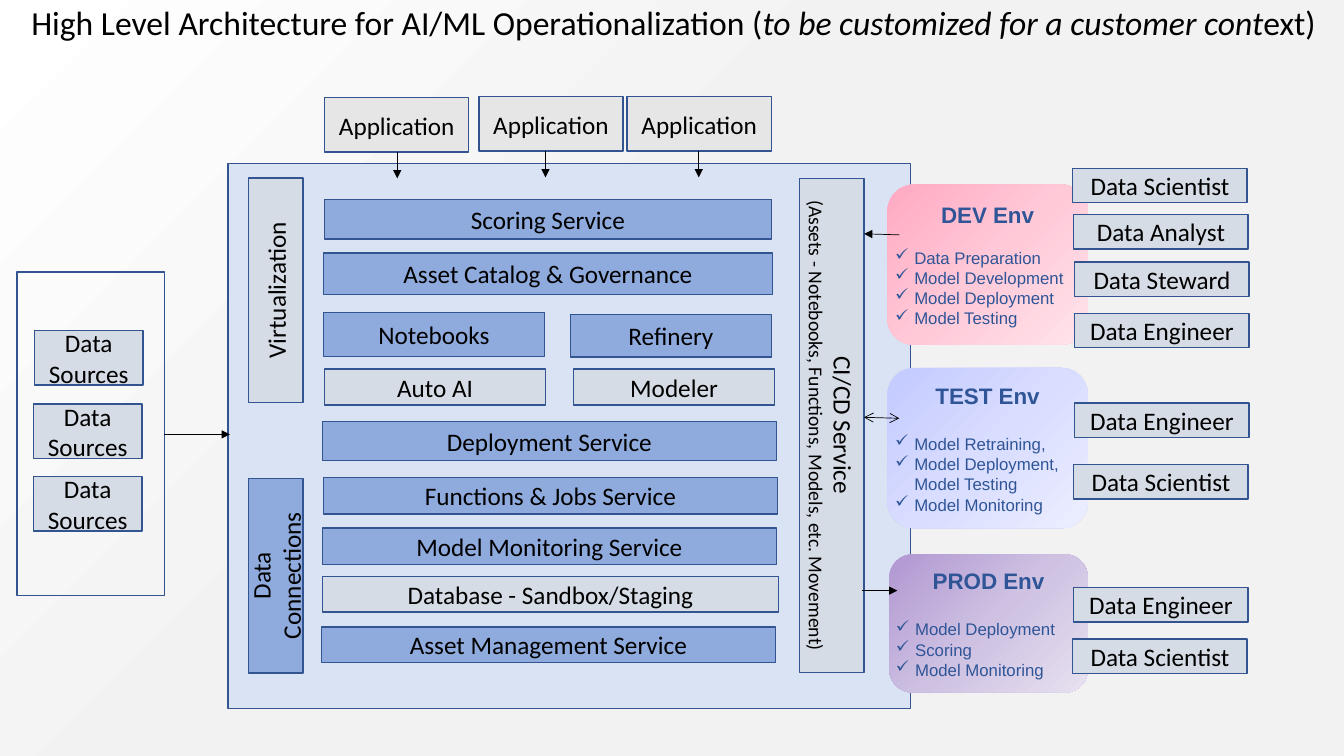
from copy import deepcopy

from lxml import etree
from pptx import Presentation
from pptx.dml.color import RGBColor
from pptx.enum.shapes import MSO_CONNECTOR, MSO_SHAPE
from pptx.enum.text import MSO_ANCHOR, PP_ALIGN
from pptx.oxml.ns import qn
from pptx.util import Inches, Pt

RECT, ROUND = MSO_SHAPE.RECTANGLE, MSO_SHAPE.ROUNDED_RECTANGLE
LEFT, CENTER = PP_ALIGN.LEFT, PP_ALIGN.CENTER
TOP, MIDDLE = MSO_ANCHOR.TOP, MSO_ANCHOR.MIDDLE
STRAIGHT = MSO_CONNECTOR.STRAIGHT

HEX = {
    "black": "000000", "edge": "325491", "pale": "DAE3F3", "blue": "8FAADC",
    "gray": "D6DCE5", "light": "E7E6E6", "navy": "2F5597",
    "white": "FFFFFF", "mist": "F2F2F2",
}
RGB = {name: RGBColor.from_string(code) for name, code in HEX.items()}
TINTS = {
    "DEV Env": ("FFA9C2", "FFC9D8", "FFE4EB"),
    "TEST Env": ("C3CAFF", "D9DDFF", "ECEEFF"),
    "PROD Env": ("B197D2", "CEC1E2", "E7E1F0"),
}

deck = Presentation()
deck.slide_width, deck.slide_height = Inches(13.33), Inches(7.5)
slide = deck.slides.add_slide(deck.slide_layouts[5])
shapes = slide.shapes


def box(x, y, w, h, fill, lines=(), turn=0):
    """Add a bordered box with centred lines, the first at 18 pt, others at 14."""
    item = shapes.add_shape(RECT, Inches(x), Inches(y), Inches(w), Inches(h))
    item.shadow.inherit = False
    item.rotation = turn
    if fill:
        item.fill.solid()
        item.fill.fore_color.rgb = RGB[fill]
    else:
        item.fill.background()
    item.line.color.rgb = RGB["edge"]
    item.line.width = Pt(1)
    frame = item.text_frame
    frame.word_wrap = True
    frame.vertical_anchor = MIDDLE
    frame.text = "\n".join(lines)
    for i, para in enumerate(frame.paragraphs):
        para.alignment = CENTER
        para.font.name = "Calibri"
        for run in para.runs:
            run.font.name = "Calibri"
            run.font.size = Pt(14 if i else 18)
            run.font.color.rgb = RGB["black"]


def arrow(x1, y1, x2, y2, head=None, tail=None):
    link = shapes.add_connector(
        STRAIGHT, Inches(x1), Inches(y1), Inches(x2), Inches(y2))
    link.line.color.rgb = RGB["black"]
    link.line.width = Pt(0.5)
    props = link._element.spPr
    stroke = props.find(qn("a:ln"))
    for tag, kind in (("a:headEnd", head), ("a:tailEnd", tail)):
        if kind:
            etree.SubElement(stroke, qn(tag), type=kind)
    etree.SubElement(props, qn("a:effectLst"))


# Background
back = slide.background.fill
back.gradient()
back.gradient_angle = 315
for stop, tone, spot in zip(back.gradient_stops, ("white", "mist"), (0, 0.44)):
    stop.color.rgb = RGB[tone]
    stop.position = spot

# Title
title = shapes.title
title.left, title.top = Inches(0.24), Inches(-0.05)
title.width, title.height = Inches(12.96), Inches(0.54)
frame = title.text_frame
frame.word_wrap = True
frame.vertical_anchor = TOP
frame.margin_left = frame.margin_right = Inches(0.07)
frame.margin_top = frame.margin_bottom = Inches(0.07)
para = frame.paragraphs[0]
para.alignment = LEFT
for words, slant in (
    ("High Level Architecture for AI/ML Operationalization (", False),
    ("to be customized for a customer cont", True),
    ("ext)", False),
):
    run = para.add_run()
    run.text = words
    run.font.name = "Calibri"
    run.font.size = Pt(24)
    run.font.italic = slant
    run.font.color.rgb = RGB["black"]

# Data sources and platform frame
box(0.17, 2.7, 1.46, 3.21, None)
box(2.26, 1.62, 6.77, 5.41, "pale")
for x, y in ((0.34, 3.28), (0.33, 4.01), (0.33, 4.73)):
    box(x, y, 1.08, 0.54, "gray", ["Data Sources"])

# Applications
for x, y in ((3.22, 0.97), (4.75, 0.96), (6.22, 0.96)):
    box(x, y, 1.43, 0.54, "light", ["Application"])

# Platform services
for x, y, w, h, fill, label in (
    (3.22, 1.98, 4.43, 0.39, "blue", "Scoring Service"),
    (3.21, 2.51, 4.45, 0.41, "blue", "Asset Catalog & Governance"),
    (3.21, 3.1, 2.19, 0.44, "blue", "Notebooks"),
    (5.66, 3.12, 1.99, 0.42, "blue", "Refinery"),
    (3.22, 3.66, 2.19, 0.36, "gray", "Auto AI"),
    (5.69, 3.66, 1.99, 0.36, "gray", "Modeler"),
    (3.2, 4.18, 4.5, 0.39, "blue", "Deployment Service"),
    (3.21, 4.74, 4.5, 0.36, "blue", "Functions & Jobs Service"),
    (3.2, 5.24, 4.5, 0.36, "blue", "Model Monitoring Service"),
    (3.2, 5.72, 4.52, 0.35, "gray", "Database - Sandbox/Staging"),
    (3.19, 6.22, 4.5, 0.35, "blue", "Asset Management Service"),
):
    box(x, y, w, h, fill, [label])

# Upright bars
box(1.62, 2.61, 2.23, 0.54, "gray", ["Virtualization"], 270)
box(1.77, 5.44, 1.93, 0.54, "blue", ["Data Connections"], 270)
box(5.8, 3.9, 4.9, 0.64, "gray", [
    "CI/CD Service",
    "(Assets - Notebooks, Functions, Models, etc. Movement)"], 90)

# Environments
for name, x, y, w, h, gap, tasks in (
    ("DEV Env", 8.8, 1.83, 1.99, 1.59, 14,
     ["Data Preparation", "Model Development", "Model Deployment",
      "Model Testing"]),
    ("TEST Env", 8.8, 3.65, 1.99, 1.59, 18,
     ["Model Retraining,", "Model Deployment, Model Testing",
      "Model Monitoring"]),
    ("PROD Env", 8.82, 5.5, 1.97, 1.37, 18,
     ["Model Deployment", "Scoring", "Model Monitoring"]),
):
    env = shapes.add_shape(ROUND, Inches(x), Inches(y), Inches(w), Inches(h))
    env.shadow.inherit = False
    env.line.fill.background()
    env.fill.gradient()
    env.fill.gradient_angle = 315
    stops = env._element.spPr.find(".//" + qn("a:gsLst"))
    stops.insert(1, deepcopy(stops[0]))
    for i, (stop, tint) in enumerate(zip(env.fill.gradient_stops, TINTS[name])):
        stop.color.rgb = RGBColor.from_string(tint)
        stop.position = i / 2
    frame = env.text_frame
    frame.word_wrap = True
    frame.vertical_anchor = MIDDLE
    frame.margin_left = frame.margin_right = 0
    frame.margin_top = frame.margin_bottom = 0
    frame.text = "\n".join([name] + tasks)
    for i, para in enumerate(frame.paragraphs):
        para.alignment = LEFT if i else CENTER
        font = para.runs[0].font
        font.name = "Arial"
        font.size = Pt(12 if i else 16)
        font.bold = i == 0
        font.color.rgb = RGB["navy"]
        if i == 1:
            para.space_before = Pt(gap)
        if i:
            props = para._p.get_or_add_pPr()
            props.set("marL", str(Inches(0.19)))
            props.set("indent", str(-Inches(0.19)))
            etree.SubElement(props, qn("a:buChar"), char="✓")

# Roles beside each environment
for x, y, role in (
    (10.64, 1.67, "Scientist"), (10.65, 2.13, "Analyst"),
    (10.66, 2.6, "Steward"), (10.66, 3.11, "Engineer"),
    (10.66, 4, "Engineer"), (10.65, 4.61, "Scientist"),
    (10.65, 5.83, "Engineer"), (10.64, 6.34, "Scientist"),
):
    box(x, y, 1.73, 0.34, "gray", ["Data " + role])

# Flows
arrow(1.63, 4.31, 2.28, 4.31, tail="triangle")
for x, y in ((3.94, 1.51), (5.41, 1.5), (6.93, 1.5)):
    arrow(x, y, x, y + 0.26, tail="triangle")
arrow(8.57, 2.32, 8.92, 2.33, head="triangle")
arrow(8.57, 4.14, 8.92, 4.15, head="arrow", tail="arrow")
arrow(8.55, 5.86, 8.9, 5.86, tail="triangle")

deck.save("out.pptx")
